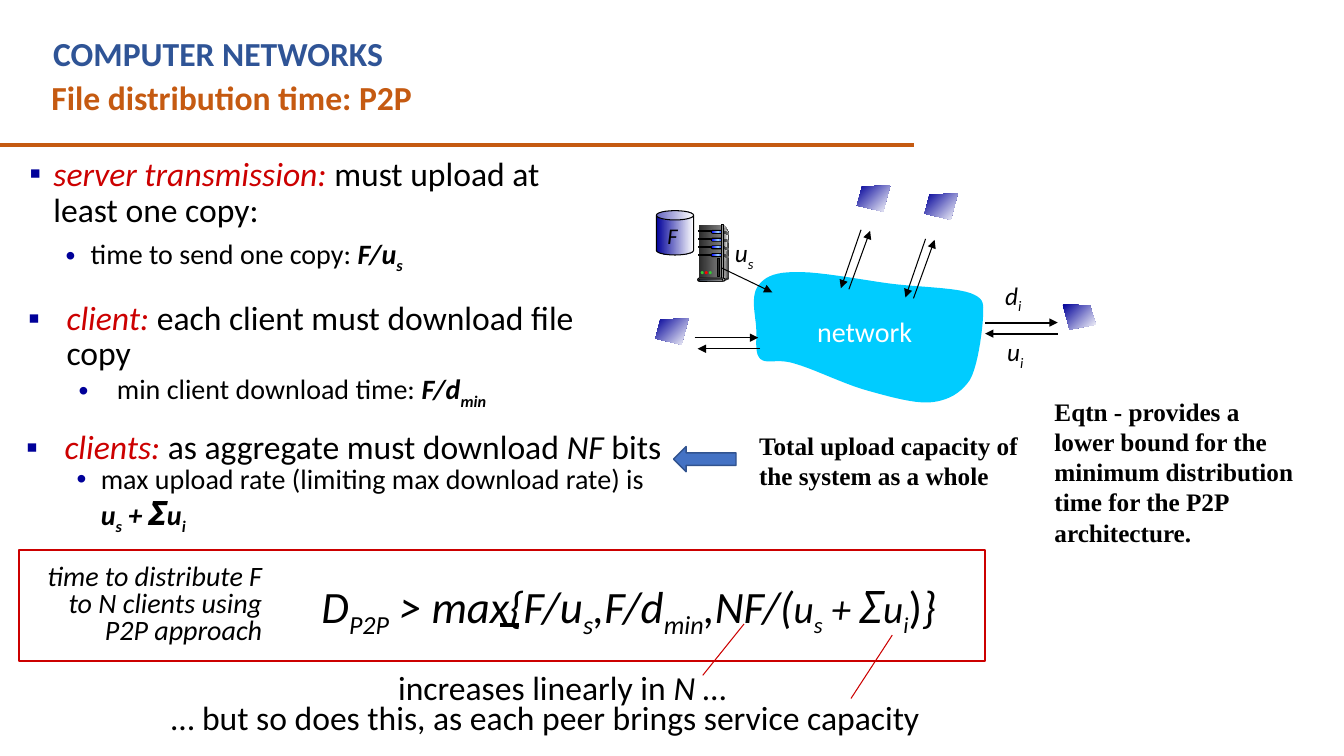
import copy
import lxml.etree
import pptx
import pptx.dml.color
import pptx.enum.shapes
import pptx.enum.text
import pptx.oxml.ns
import pptx.util

Inches = pptx.util.Inches
Pt = pptx.util.Pt
RGB = pptx.dml.color.RGBColor.from_string
qn = pptx.oxml.ns.qn
MSO = pptx.enum.shapes.MSO_SHAPE
ALIGN = pptx.enum.text.PP_ALIGN

COLORS = {
    "black": "000000", "white": "FFFFFF", "title": "2F5496", "orange": "C55A11",
    "red": "CC0000", "bullet": "000099", "cyan": "00CCFF", "navy": "000099",
    "arrow": "4472C4", "arrow_edge": "31538F", "charcoal": "292929", "gray": "808080",
    "dark": "333333", "silver": "DDDDDD", "pale": "F8F8F8", "blue": "0000FF",
    "sky": "99CCFF", "slate": "44546A", "mist": "E7E6E6", "green": "33CC33", "led": "FF0000",
}


def add_text(p, text, size=24, color="black", bold=False, italic=False, font="Calibri"):
    for i, piece in enumerate(text.split("~")):
        if piece:
            r = p.add_run()
            r.text = piece
            r.font.size = Pt(size)
            r.font.name = font
            r.font.bold = bold
            r.font.italic = italic
            r.font.color.rgb = RGB(COLORS[color])
            if i % 2:
                r._r.get_or_add_rPr().set("baseline", "-25000")


def paint(sp, fill=None, line=None, width=0.75, angle=0):
    sp.shadow.inherit = False
    if fill is None:
        sp.fill.background()
    elif isinstance(fill, str):
        sp.fill.solid()
        sp.fill.fore_color.rgb = RGB(COLORS[fill])
    else:
        sp.fill.gradient()
        sp.fill.gradient_angle = angle
        stops = sp._element.spPr.find(qn("a:gradFill")).find(qn("a:gsLst"))
        if len(fill) == 3:
            stops.insert(1, copy.deepcopy(stops[0]))
            stops[1].set("pos", "50000")
        for stop, name in zip(sp.fill.gradient_stops, fill):
            stop.color.rgb = RGB(COLORS[name])
    if line:
        sp.line.color.rgb = RGB(COLORS[line])
        sp.line.width = Pt(width)
    else:
        sp.line.fill.background()


prs = pptx.Presentation()
prs.slide_width, prs.slide_height = Inches(13.33), Inches(7.5)
s = prs.slides.add_slide(prs.slide_layouts[4])

title = s.shapes.title
title.left, title.top, title.width, title.height = [Inches(v) for v in (0.41, 0.71, 8.75, 0.5)]
title.text_frame.auto_size = pptx.enum.text.MSO_AUTO_SIZE.NONE
p = title.text_frame.paragraphs[0]
p.alignment = ALIGN.LEFT
add_text(p, "File distribution time: P2P", color="orange", bold=True)

RED = dict(color="red", italic=True)
ITALIC = dict(italic=True)
SMALL = dict(size=20)
TERM = dict(size=20, bold=True, italic=True)
SIGMA = dict(bold=True, italic=True, font="Open Sans")
lists = [
    ((0.04, 1.51, 5.97, 2.2), [
        (0.39, 0.24, 0.9, 0, [("server transmission: ", RED), ("must upload at least one copy:", {})]),
        (0.76, 0.25, 1, 5, [("time to send one copy: ", SMALL), ("F/u~s~", TERM)])]),
    ((0.18, 2.96, 6.31, 1.32), [
        (0.38, 0.38, 0.85, 0, [("client: ", RED), ("each client must download file copy", {})]),
        (0.88, 0.38, 0.99, 0, [("min client download time: ", SMALL), ("F/d~min~", TERM)])]),
    ((0.16, 4.24, 6.5, 1.37), [
        (0.38, 0.38, 0.85, 0, [("clients: ", RED), ("as aggregate must download ", {}),
                               ("NF", ITALIC), (" bits", {})]),
        (0.74, 0.24, 0.85, 0, [("max upload rate (limiting max download rate) is ", SMALL),
                               ("u~s~ + ", TERM), ("Σ", SIGMA), ("u~i~", TERM)])]),
]
bodies = list(s.placeholders)[1:]
for body, (box, items) in zip(bodies, lists):
    body.left, body.top, body.width, body.height = [Inches(v) for v in box]
    tf = body.text_frame
    tf.auto_size = pptx.enum.text.MSO_AUTO_SIZE.NONE
    tf.vertical_anchor = pptx.enum.text.MSO_ANCHOR.TOP
    for level, (margin, hang, spacing, before, runs) in enumerate(items):
        p = tf.add_paragraph() if level else tf.paragraphs[0]
        p.level = level
        pPr = p._p.get_or_add_pPr()
        pPr.set("marL", str(Inches(margin)))
        pPr.set("indent", str(-Inches(hang)))
        clr = lxml.etree.SubElement(pPr, qn("a:buClr"))
        lxml.etree.SubElement(clr, qn("a:srgbClr"), val=COLORS["bullet"])
        lxml.etree.SubElement(pPr, qn("a:buChar"), char="▪•"[level])
        p.line_spacing = spacing
        p.space_before = Pt(before)
        for text, fmt in runs:
            add_text(p, text, **fmt)
spare = bodies[-1]._element
spare.getparent().remove(spare)

network_start = (7.88, 2.7)
network_curves = [
    (7.66, 2.7, 7.57, 2.76, 7.51, 2.85), (7.45, 2.95, 7.49, 3.12, 7.5, 3.24),
    (7.51, 3.36, 7.48, 3.5, 7.54, 3.56), (7.61, 3.62, 7.71, 3.55, 7.89, 3.61),
    (8.07, 3.66, 8.39, 3.82, 8.62, 3.88), (8.84, 3.94, 9.08, 4.01, 9.25, 3.99),
    (9.41, 3.97, 9.53, 3.9, 9.62, 3.77), (9.7, 3.63, 9.74, 3.3, 9.75, 3.16),
    (9.75, 3.02, 9.78, 2.97, 9.63, 2.91), (9.47, 2.85, 9.09, 2.85, 8.8, 2.81),
    (8.51, 2.77, 8.1, 2.69, 7.88, 2.7),
]
network = [network_start]
for x1, y1, x2, y2, x3, y3 in network_curves:
    x0, y0 = network[-1]
    for t in [k / 10 for k in range(1, 11)]:
        a, b, c, d = (1 - t) ** 3, 3 * t * (1 - t) ** 2, 3 * t * t * (1 - t), t ** 3
        network.append((a * x0 + b * x1 + c * x2 + d * x3, a * y0 + b * y1 + c * y2 + d * y3))

client = [(0.33, 0), (0.05, 0.01), (0, 0.2), (0.26, 0.26)]
outlines = [(s.shapes, network, "cyan", 0)]
for x, y in [(6.5, 3.16), (8.5, 1.84), (9.17, 1.92)]:
    outlines.append((s.shapes, [(x + dx, y + dy) for dx, dy in client], ("navy", "white"), 315))
outlines.append((s.shapes, [(10.54, 3.02), (10.81, 3.03), (10.87, 3.22), (10.61, 3.27)],
                 ("navy", "white"), 315))

server = s.shapes.add_group_shape().shapes
outlines += [
    (server, [(7.18, 2.23), (7.23, 2.3), (7.23, 2.75), (7.17, 2.77)], ("silver", "dark"), 0),
    (server, [(7.18, 2.26), (7.22, 2.31), (7.19, 2.6), (7.18, 2.76)], ("gray", "pale"), 0),
    (server, [(7.18, 2.77), (7.18, 2.79), (7.23, 2.77), (7.23, 2.75)], "dark", 0),
]
bays = [2.29 + 0.077 * i for i in range(4)]
for y in bays:
    notch = [(7.17, y), (7.23, y + 0.02), (7.23, y + 0.04), (7.17, y + 0.02)]
    outlines.append((server, notch, ("charcoal", "gray"), 0))
for parent, points, fill, angle in outlines:
    points = [(Inches(x), Inches(y)) for x, y in points]
    fb = parent.build_freeform(*points[0], scale=1.0)
    fb.add_line_segments(points[1:], close=True)
    paint(fb.convert_to_shape(), fill, angle=angle)

parts = [(server, MSO.RECTANGLE, (6.93, 2.23, 0.23, 0.54), ("charcoal", "gray"), None, 0)]
for y in bays:
    parts += [
        (server, MSO.RECTANGLE, (6.93, y, 0.13, 0.01), "black", "black", 0.75),
        (server, MSO.ROUNDED_RECTANGLE, (7.05, y - 0.01, 0.13, 0.04), "black", None, 0),
        (server, MSO.ROUNDED_RECTANGLE, (7.06, y, 0.12, 0.02), ("blue", "sky", "blue"), None, 0),
    ]
for x, color in [(6.95, "green"), (6.99, "led"), (7.03, "green")]:
    parts.append((server, MSO.OVAL, (x, 2.69, 0.03, 0.03), color, None, 0))
parts += [
    (server, MSO.RECTANGLE, (7.16, 2.23, 0.02, 0.54), ("dark", "silver", "dark"), "black", 0.75),
    (server, MSO.ROUNDED_RECTANGLE, (6.92, 2.76, 0.27, 0.03), "silver", "black", 0.75),
    (server, MSO.ROUNDED_RECTANGLE, (6.93, 2.77, 0.24, 0.02), ("slate", "mist"), "black", 0.75),
    (server, MSO.RECTANGLE, (7.12, 2.56, 0.02, 0.18), "charcoal", "black", 0.75),
    (s.shapes, MSO.CAN, (6.51, 2.09, 0.37, 0.44), ("navy", "white"), "black", 0.75),
    (s.shapes, MSO.RECTANGLE, (0.19, 5.46, 9.58, 1.1), None, "red", 1.5),
    (s.shapes, MSO.LEFT_ARROW, (6.68, 4.43, 0.62, 0.25), "arrow", "arrow_edge", 1),
]
for parent, kind, box, fill, line, width in parts:
    sp = parent.add_shape(kind, *[Inches(v) for v in box])
    paint(sp, fill, line, width)
    if kind == MSO.ROUNDED_RECTANGLE:
        sp.adjustments[0] = 0.5

lines = [
    (-0.01, 1.44, 9.07, 1.44, "orange", 3, False),
    (7.16, 2.66, 7.66, 2.9, "black", 0.75, True),
    (6.89, 3.35, 7.52, 3.35, "black", 0.75, True),
    (7.54, 3.46, 6.92, 3.46, "black", 0.75, True),
    (9.77, 3.2, 10.49, 3.2, "black", 1.5, True),
    (10.49, 3.31, 9.77, 3.31, "black", 1.5, True),
    (4.96, 6.2, 5.15, 6.2, "black", 2.25, False),
    (8.44, 6.93, 8.85, 6.3, "red", 0.75, False),
    (6.97, 6.7, 7.38, 6.19, "red", 0.75, False),
]
for x, y in [(8.34, 2.28), (8.98, 2.37)]:
    lines += [(x + 0.2, y, x, y + 0.58, "black", 0.75, True),
              (x + 0.08, y + 0.59, x + 0.29, y + 0.01, "black", 0.75, True)]
for x1, y1, x2, y2, color, width, arrow in lines:
    c = s.shapes.add_connector(pptx.enum.shapes.MSO_CONNECTOR.STRAIGHT,
                               Inches(x1), Inches(y1), Inches(x2), Inches(y2))
    c.line.color.rgb = RGB(COLORS[color])
    c.line.width = Pt(width)
    spPr = c._element.spPr
    if arrow:
        lxml.etree.SubElement(spPr.find(qn("a:ln")), qn("a:tailEnd"), type="triangle")
    lxml.etree.SubElement(spPr, qn("a:effectLst"))

LABEL = dict(size=18, italic=True)
NOTE = dict(size=18, bold=True, font="Times New Roman")
CAPTION = dict(size=20, italic=True)
BIG = dict(size=32, italic=True)
MID = dict(size=28, italic=True)
texts = [
    ((0.43, 0.28, 8.2, 0.5), ALIGN.LEFT, 1, [[("COMPUTER NETWORKS", dict(color="title", bold=True))]]),
    ((7.19, 2.31, 0.45, 0.4), ALIGN.LEFT, 1, [[("u~s~", LABEL)]]),
    ((8, 3.07, 1.15, 0.44), ALIGN.CENTER, 1, [[("network", dict(size=20, color="white"))]]),
    ((9.87, 2.73, 0.49, 0.4), ALIGN.LEFT, 1, [[("d~i~", LABEL)]]),
    ((9.89, 3.29, 0.55, 0.4), ALIGN.LEFT, 1, [[("u~i~", LABEL)]]),
    ((6.24, 2.15, 0.86, 0.37), ALIGN.CENTER, 1, [[("F", dict(size=16, italic=True))]]),
    ((0.22, 5.56, 2.48, 0.97), ALIGN.RIGHT, 0.8, [
        [("time to distribute F", CAPTION)], [("to N clients using", CAPTION)],
        [("P2P approach", CAPTION)]]),
    ((3.09, 5.69, 6.75, 0.64), ALIGN.LEFT, 1, [[
        ("D~P2P~ > max{F/u~s~,F/d~min~,NF/(", BIG), ("u~s~ + ", MID),
        ("Σ", dict(size=32, italic=True, font="Open Sans")), ("u~i~", MID),
        (")", dict(size=32)), ("}", BIG)]]),
    ((1.6, 6.94, 7.69, 0.43), ALIGN.LEFT, 0.8, [
        [("… but so does this, as each peer brings service capacity", {})]]),
    ((3.85, 6.64, 3.49, 0.43), ALIGN.LEFT, 0.8, [
        [("increases linearly in ", {}), ("N", ITALIC), (" …", {})]]),
    ((7.43, 4.22, 2.79, 0.71), ALIGN.LEFT, 1, [
        [("Total upload capacity of the system as a whole", NOTE)]]),
    ((10.36, 3.88, 2.68, 1.62), ALIGN.LEFT, 1, [
        [("Eqtn - provides a lower bound for the minimum distribution time for the P2P", NOTE)],
        [("architecture.", NOTE)]]),
]
for box, align, spacing, paragraphs in texts:
    tf = s.shapes.add_textbox(*[Inches(v) for v in box]).text_frame
    tf.word_wrap = True
    for i, runs in enumerate(paragraphs):
        p = tf.add_paragraph() if i else tf.paragraphs[0]
        p.alignment = align
        p.line_spacing = spacing
        for text, fmt in runs:
            add_text(p, text, **fmt)

prs.save("out.pptx")
